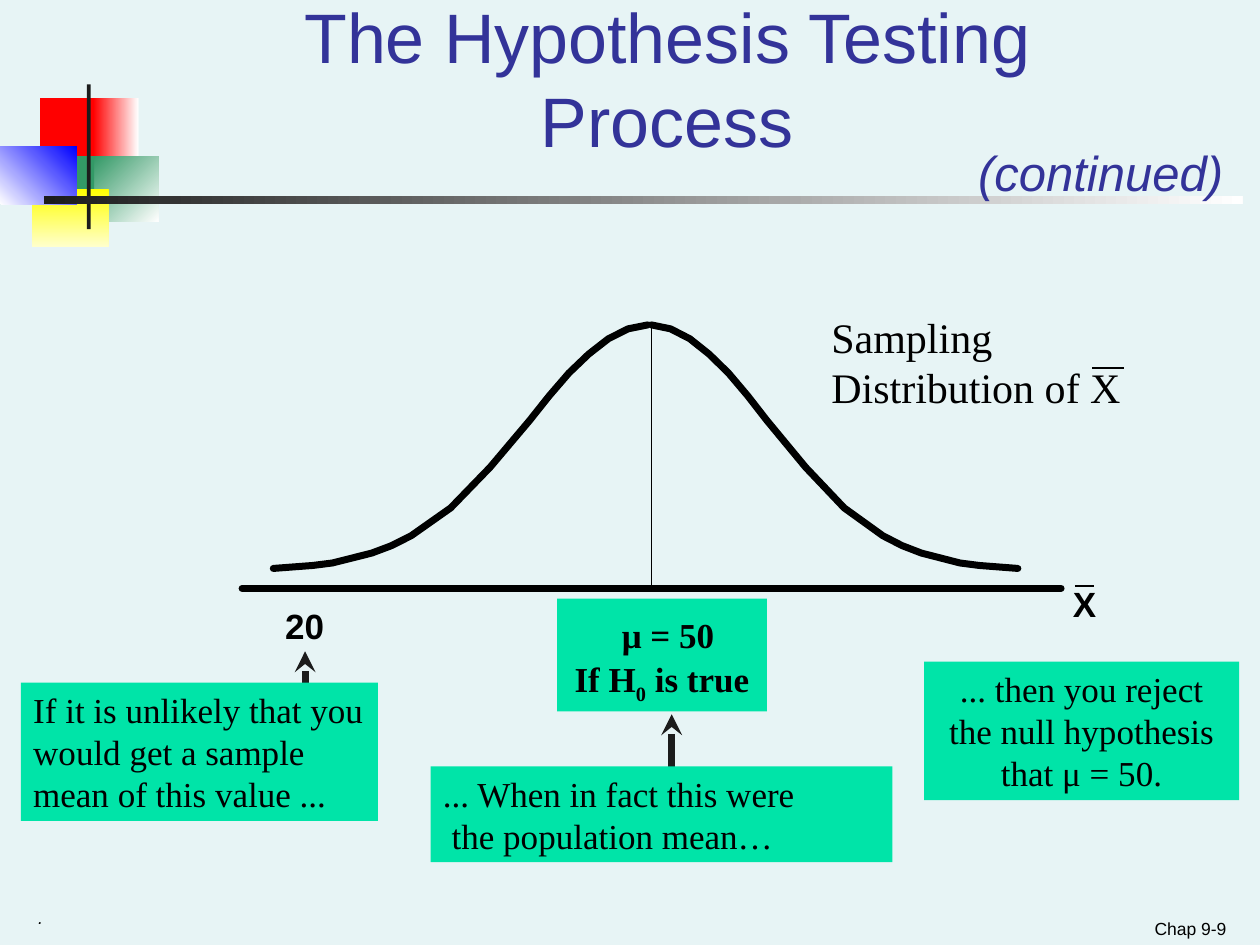
"""Build the slide on the hypothesis testing process."""
from dataclasses import dataclass
from typing import Optional

from lxml import etree
from pptx import Presentation
from pptx.dml.color import RGBColor
from pptx.enum.shapes import MSO_CONNECTOR, MSO_SHAPE
from pptx.enum.text import MSO_ANCHOR, MSO_AUTO_SIZE, PP_ALIGN
from pptx.oxml.ns import qn
from pptx.util import Cm, Pt

STRAIGHT, RECT = MSO_CONNECTOR.STRAIGHT, MSO_SHAPE.RECTANGLE
LEFT, CENTER, RIGHT = PP_ALIGN.LEFT, PP_ALIGN.CENTER, PP_ALIGN.RIGHT
TOP, BOTTOM = MSO_ANCHOR.TOP, MSO_ANCHOR.BOTTOM
NO_AUTOFIT = MSO_AUTO_SIZE.NONE
SANS, SERIF = "Arial", "Times New Roman"
COLORS = {
    "background": "E7F4F5", "title": "333399", "text": "000000",
    "box": "00E4A8", "dark": "1C1C1C", "white": "FFFFFF", "red": "FF0000",
    "green": "339966", "yellow": "FFFF00", "cream": "FFFFCC", "blue": "0000FF",
}


@dataclass
class Block:
    left: float
    top: float
    width: float
    height: float
    color: str
    fade_to: Optional[str] = None
    angle: int = 0


@dataclass
class Label:
    text: str
    left: float
    top: float
    width: float
    height: float
    size: int = 20
    font: str = SERIF
    color: str = "text"
    bold: bool = False
    italic: bool = False
    align: PP_ALIGN = LEFT
    anchor: MSO_ANCHOR = TOP
    fill: Optional[str] = None
    wrap: bool = True


@dataclass
class Line:
    x1: float
    y1: float
    x2: float
    y2: float
    width: float
    color: str = "text"
    arrow: bool = False
    rounded: bool = False


BLOCKS = [
    Block(0.81, 1.98, 1.22, 1.32, "red"),
    Block(1.88, 1.98, 0.91, 1.32, "red", "white"),
    Block(1.9, 3.15, 1.3, 1.32, "green", "white", 315),
    Block(1.09, 3.15, 0.81, 1.32, "green"),
    Block(0.64, 3.81, 1.55, 1.17, "yellow", "cream", 270),
    Block(0, 2.95, 1.55, 1.17, "white", "blue", 45),
    Block(1.75, 1.7, 0.08, 2.92, "dark"),
    Block(0.89, 3.96, 24.16, 0.15, "dark", "white"),
]
ARROWS = [
    Line(6.15, 13.97, 6.15, 13.13, 4, "dark", arrow=True),
    Line(13.54, 15.88, 13.54, 14.4, 4, "dark", arrow=True),
]
LINES = [
    Line(4.88, 11.86, 21.39, 11.86, 4, rounded=True),
    Line(15.44, 4.24, 15.44, 4.24, 0.75),
    Line(13.13, 6.55, 13.13, 11.86, 0.75),
    Line(22.02, 7.42, 22.66, 7.42, 1.5),
    Line(21.67, 11.81, 22.05, 11.81, 1.5),
]
LABELS = [
    Label("Chap 9-9", 19.05, 18.16, 5.92, 0.89, 10, SANS, align=RIGHT, anchor=BOTTOM),
    Label("Sampling Distribution of X", 16.51, 6.15, 6.55, 2.29, 24),
    Label("If it is unlikely that you would get a sample mean of this value ...",
          0.42, 13.76, 7.2, 2.79, fill="box"),
    Label("... then you reject the null hypothesis that μ = 50.",
          18.63, 13.34, 6.35, 2.79, align=CENTER, fill="box"),
    Label("20", 5.5, 12.07, 1.48, 1.09, font=SANS, bold=True),
    Label("... When in fact this were\v the population mean…",
          8.68, 15.45, 9.31, 1.93, fill="box"),
    Label("X", 21.38, 11.61, 1.48, 1.09, font=SANS, bold=True),
    Label("(continued)", 19.47, 2.74, 5.44, 1.45, 28, SANS, "title", italic=True, wrap=False),
    Label(" .", 0.42, 18.16, 15.66, 0.89, 10, SANS, italic=True),
]
MEAN = Label(" \nIf H", 11.23, 12.07, 4.23, 2.27, bold=True, align=CENTER, fill="box")
CURVE_STEPS = [0, 2, 3, 4, 5, 6, 7, 9, 11, 13, 14, 15, 16, 17, 18, 19]
CURVE_Y = [11.46, 11.4, 11.35, 11.25, 11.15, 11, 10.8, 10.24,
           9.42, 8.48, 7.98, 7.52, 7.14, 6.83, 6.63, 6.55]


def rgb(name: str) -> RGBColor:
    return RGBColor.from_string(COLORS[name])


def draw_block(s, block: Block):
    sp = s.shapes.add_shape(RECT, Cm(block.left), Cm(block.top), Cm(block.width), Cm(block.height))
    sp.shadow.inherit = False
    sp.line.fill.background()
    if block.fade_to:
        sp.fill.gradient()
        sp.fill.gradient_angle = block.angle
        for stop, name in zip(sp.fill.gradient_stops, (block.color, block.fade_to)):
            stop.color.rgb = rgb(name)
    else:
        sp.fill.solid()
        sp.fill.fore_color.rgb = rgb(block.color)
    return sp


def format_text(tf, label: Label) -> None:
    tf.word_wrap = label.wrap
    tf.auto_size = NO_AUTOFIT
    tf.vertical_anchor = label.anchor
    for p in tf.paragraphs:
        p.alignment = label.align
        for r in p.runs:
            r.font.name, r.font.size = label.font, Pt(label.size)
            r.font.bold, r.font.italic = label.bold, label.italic
            r.font.color.rgb = rgb(label.color)


def draw_label(s, label: Label):
    box = (label.left, label.top, label.width, label.height)
    if label.fill:
        sp = draw_block(s, Block(*box, label.fill))
    else:
        sp = s.shapes.add_textbox(*map(Cm, box))
    sp.text_frame.text = label.text
    format_text(sp.text_frame, label)
    return sp


def draw_mean_box(s) -> None:
    tf = draw_label(s, MEAN).text_frame
    first, second = tf.paragraphs
    first.add_run().text = "μ = 50"
    second.add_run().text = "0"
    second.add_run().text = " is true"
    format_text(tf, MEAN)
    first.runs[0].font.name, first.runs[0].font.size = SANS, Pt(25)
    second.runs[1].font._element.set("baseline", "-25000")


def draw_line(s, line: Line) -> None:
    c = s.shapes.add_connector(STRAIGHT, Cm(line.x1), Cm(line.y1), Cm(line.x2), Cm(line.y2))
    c.line.color.rgb = rgb(line.color)
    c.line.width = Pt(line.width)
    ln = c.line._get_or_add_ln()
    if line.rounded:
        ln.set("cap", "rnd")
    if line.arrow:
        etree.SubElement(ln, qn("a:tailEnd"), type="stealth")
    etree.SubElement(c._element.spPr, qn("a:effectLst"))


def draw_half_curve(s, start: float, end: float) -> None:
    step = (end - start) / CURVE_STEPS[-1]
    points = [(Cm(start + n * step), Cm(y)) for n, y in zip(CURVE_STEPS, CURVE_Y)]
    builder = s.shapes.build_freeform(*points[0])
    builder.add_line_segments(points[1:], close=False)
    sp = builder.convert_to_shape()
    sp.shadow.inherit = False
    sp.fill.background()
    sp.line.color.rgb = rgb("text")
    sp.line.width = Pt(4)
    ln = sp.line._get_or_add_ln()
    ln.set("cap", "rnd")
    etree.SubElement(ln, qn("a:round"))


def main() -> None:
    prs = Presentation()
    prs.slide_width, prs.slide_height = Cm(25.4), Cm(19.05)
    s = prs.slides.add_slide(prs.slide_layouts[5])
    s.background.fill.solid()
    s.background.fill.fore_color.rgb = rgb("background")

    title = Label("The Hypothesis Testing Process", 3.2, 0.64, 20.5, 2.74, 40, SANS,
                  "title", align=CENTER, anchor=BOTTOM)
    sp = s.shapes.title
    sp.left, sp.top = Cm(title.left), Cm(title.top)
    sp.width, sp.height = Cm(title.width), Cm(title.height)
    sp.text_frame.text = title.text
    format_text(sp.text_frame, title)

    for block in BLOCKS:
        draw_block(s, block)
    for arrow in ARROWS:
        draw_line(s, arrow)
    draw_mean_box(s)
    for label in LABELS:
        draw_label(s, label)
    draw_half_curve(s, 20.52, 13.13)
    draw_half_curve(s, 5.51, 13.06)
    for line in LINES:
        draw_line(s, line)
    prs.save("out.pptx")


if __name__ == "__main__":
    main()
